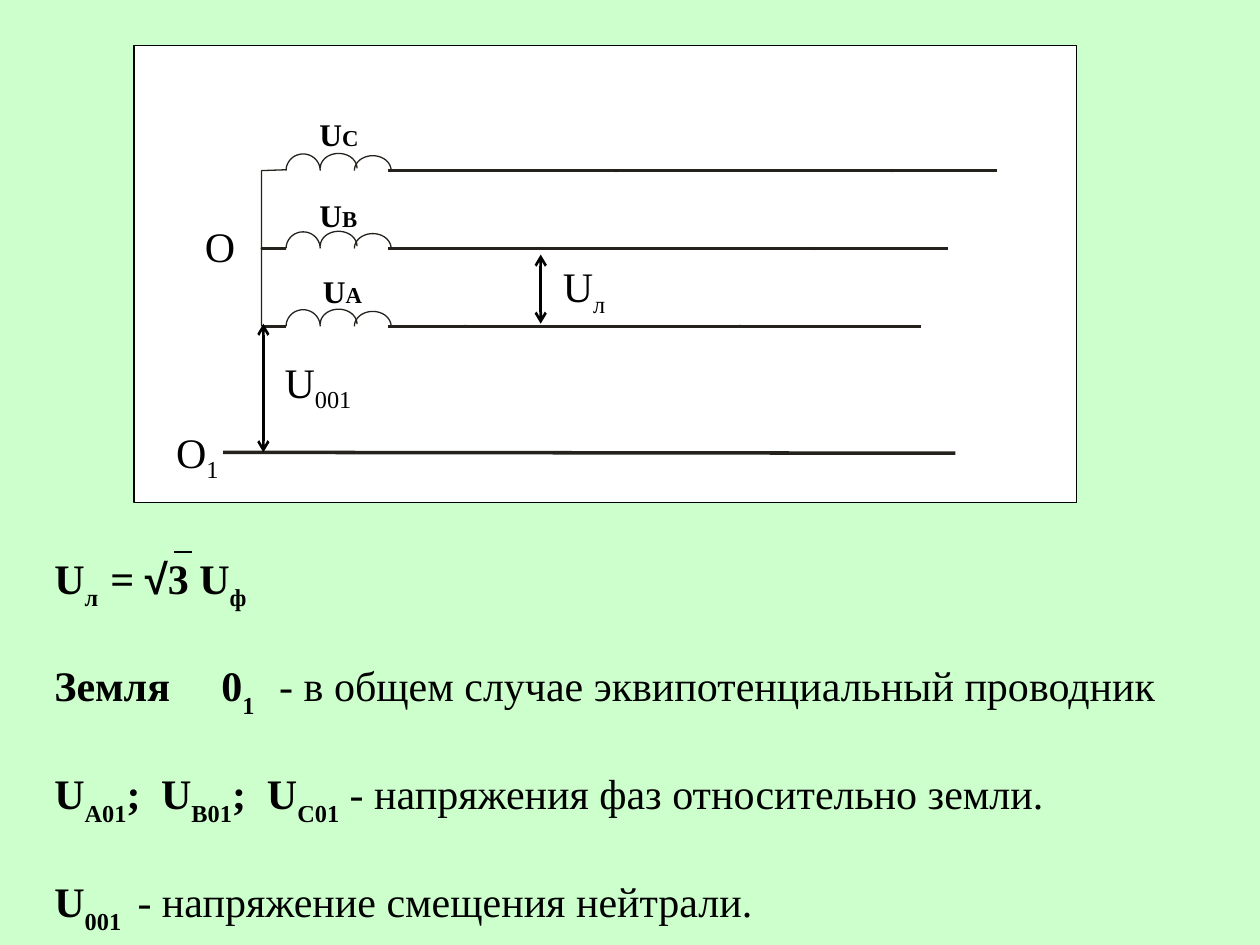
import math
from dataclasses import dataclass

from lxml import etree
from pptx import Presentation
from pptx import util as u
from pptx.dml.color import RGBColor
from pptx.enum import shapes as kinds
from pptx.enum import text as txt
from pptx.oxml import ns

MINT = RGBColor(0xCC, 0xFF, 0xCC)
WHITE = RGBColor(0xFF, 0xFF, 0xFF)
BLACK = RGBColor(0x00, 0x00, 0x00)
INK = RGBColor(0x25, 0x22, 0x1E)

SERIF = "Times New Roman"
NEUTRAL_X, COIL_X, WIRE_X = 149.5, 163.5, 222


@dataclass(frozen=True)
class Run:
    text: str
    bold: bool = False
    baseline: int = 0
    size: float = 24
    font: str = SERIF


@dataclass(frozen=True)
class Box:
    x: float
    y: float
    w: float
    h: float


@dataclass(frozen=True)
class Line:
    runs: tuple[Run, ...]
    tabs: tuple[float, ...] = ()


@dataclass(frozen=True)
class Phase:
    letter: str
    y: float
    wire_end: float
    dots: tuple[float, ...]
    label_x: float
    label_y: float


@dataclass(frozen=True)
class Turn:
    x: float
    w: float
    h: float
    lift: float


PHASES = (
    Phase("C", 97.5, 570, (351.5, 509), 180.5, 66),
    Phase("B", 142, 541.5, (NEUTRAL_X, 307.5, 465), 180.5, 112),
    Phase("A", 186.5, 526.5, (265.5, 422.5), 182.5, 155.5),
)
TURNS = (Turn(COIL_X, 19.5, 9.5, 0), Turn(183, 21, 8.5, 1.3), Turn(202.5, 21, 8.5, 0))


def strong(text: str, font: str = SERIF) -> Run:
    return Run(text, bold=True, font=font)


def sub(text: str) -> Run:
    return Run(text, bold=True, baseline=-30)


FORMULAS = (
    Line((strong("U"), sub("л"), strong("\t= "), strong("√", "Arial"),
          strong("3 U"), sub("ф")), (32,)),
    Line((strong("Земля\t0"), sub("1"),
          Run("\t- в общем случае эквипотенциальный проводник")), (95.5, 128.5)),
    Line((strong("U"), sub("А01"), strong(";\tU"), sub("В01"), strong(";\tU"),
          sub("С01"), Run(" - напряжения фаз относительно земли.")), (61, 121.5)),
    Line((strong("U"), sub("001"), Run("\t- напряжение смещения нейтрали.")), (47.5,)),
)
LABELS = (
    (Box(110, 122.5, 28, 36), (Run("O"),)),
    (Box(314.5, 145.5, 45.5, 40), (Run("U"), Run("л", baseline=-25))),
    (Box(155.5, 200, 73.5, 40), (Run("U"), Run("001", baseline=-25))),
    (Box(93.5, 240, 45.5, 40), (Run("O"), Run("1", baseline=-25))),
)


def lengths(*values: float) -> list[u.Length]:
    return [u.Pt(value) for value in values]


def apply(target, formats: dict) -> None:
    for name, value in formats.items():
        setattr(target, name, value)


def write_runs(paragraph, runs: tuple[Run, ...]) -> None:
    for part in runs:
        run = paragraph.add_run()
        run.text = part.text
        apply(run.font, {"name": part.font, "size": u.Pt(part.size), "bold": part.bold})
        run.font.color.rgb = BLACK
        if part.baseline:
            run.font._element.set("baseline", str(part.baseline * 1000))


def set_tabs(paragraph, stops: tuple[float, ...]) -> None:
    tab_list = etree.SubElement(paragraph._p.get_or_add_pPr(), ns.qn("a:tabLst"))
    for stop in stops:
        etree.SubElement(tab_list, ns.qn("a:tab"), pos=str(u.Pt(stop)), algn="l")


def add_text(slide, box: Box, lines: tuple[Line, ...], wrap: bool = True,
             inset: tuple[float, float] = (7.2, 3.6), gap: float = 0):
    area = slide.shapes.add_textbox(*lengths(box.x, box.y, box.w, box.h))
    side, top = lengths(*inset)
    frame = area.text_frame
    apply(frame, {"word_wrap": wrap, "vertical_anchor": txt.MSO_ANCHOR.TOP,
                  "margin_left": side, "margin_right": side,
                  "margin_top": top, "margin_bottom": top})
    for index, line in enumerate(lines):
        paragraph = frame.add_paragraph() if index else frame.paragraphs[0]
        if index:
            paragraph.space_before = u.Pt(gap)
        if line.tabs:
            set_tabs(paragraph, line.tabs)
        write_runs(paragraph, line.runs)
    return area


def add_line(slide, start: tuple[float, float], end: tuple[float, float],
             width: float = 0, color: RGBColor = INK, arrows: bool = False) -> None:
    line = slide.shapes.add_connector(
        kinds.MSO_CONNECTOR.STRAIGHT, *lengths(*start, *end))
    apply(line.line, {"width": u.Pt(width)})
    line.line.color.rgb = color
    if arrows:
        for tip in ("a:headEnd", "a:tailEnd"):
            etree.SubElement(line.line._get_or_add_ln(), ns.qn(tip), type="arrow")
    etree.SubElement(line._element.spPr, ns.qn("a:effectLst"))


def add_filled(slide, kind, box: Box, fill: RGBColor, edge: RGBColor, width: float) -> None:
    shape = slide.shapes.add_shape(kind, *lengths(box.x, box.y, box.w, box.h))
    shape.shadow.inherit = False
    shape.fill.solid()
    shape.fill.fore_color.rgb = fill
    shape.line.color.rgb = edge
    shape.line.width = u.Pt(width)


def add_outline(slide, points: list[tuple[float, float]]) -> None:
    first, *rest = [lengths(*point) for point in points]
    builder = slide.shapes.build_freeform(*first)
    builder.add_line_segments(rest, close=False)
    outline = builder.convert_to_shape()
    outline.shadow.inherit = False
    outline.fill.background()
    outline.line.color.rgb = INK
    outline.line.width = u.Pt(0)


def add_turn(slide, turn: Turn, y: float, steps: int = 24) -> None:
    angles = [math.pi * step / steps for step in range(steps + 1)]
    add_outline(slide, [(turn.x + turn.w * (1 - math.cos(angle)) / 2,
                         y - turn.lift - turn.h * math.sin(angle)) for angle in angles])


def add_phase(slide, phase: Phase) -> None:
    add_line(slide, (WIRE_X, phase.y), (phase.wire_end, phase.y))
    for x in phase.dots:
        dot = Box(x - 0.25, phase.y - 0.5, 1.5, 1)
        add_filled(slide, kinds.MSO_SHAPE.OVAL, dot, INK, INK, 0)
    for turn in TURNS:
        add_turn(slide, turn, phase.y)
    name = Line((Run("U", bold=True, size=18), Run(phase.letter, bold=True, size=13)))
    add_text(slide, Box(phase.label_x, phase.label_y, 29.5, 16), (name,),
             wrap=False, inset=(2, 0))


def main() -> None:
    deck = Presentation()
    apply(deck, {"slide_width": u.Pt(720), "slide_height": u.Pt(540)})
    slide = deck.slides.add_slide(deck.slide_layouts[6])
    slide.background.fill.solid()
    slide.background.fill.fore_color.rgb = MINT

    add_text(slide, Box(24, 312, 676, 229.5), FORMULAS, gap=27.6)
    add_filled(slide, kinds.MSO_SHAPE.RECTANGLE, Box(76.5, 26, 538.5, 261),
               WHITE, BLACK, 0.75)
    for phase in PHASES:
        add_phase(slide, phase)

    top, middle, bottom = (phase.y for phase in PHASES)
    add_outline(slide, [(COIL_X, top - 0.5), (NEUTRAL_X, top), (NEUTRAL_X, bottom)])
    for y in (middle, bottom):
        add_line(slide, (NEUTRAL_X, y), (COIL_X, y))
    add_line(slide, (127.5, 258.5), (546, 259))

    add_line(slide, (309, 145.5), (309, 185), 1.5, BLACK, arrows=True)
    add_line(slide, (150.5, 185), (150.5, 258.5), 1.5, BLACK, arrows=True)
    add_line(slide, (99.5, 315.5), (110, 315.5), 1.25, BLACK)
    for box, runs in LABELS:
        add_text(slide, box, (Line(runs),))

    deck.save("out.pptx")


if __name__ == "__main__":
    main()
